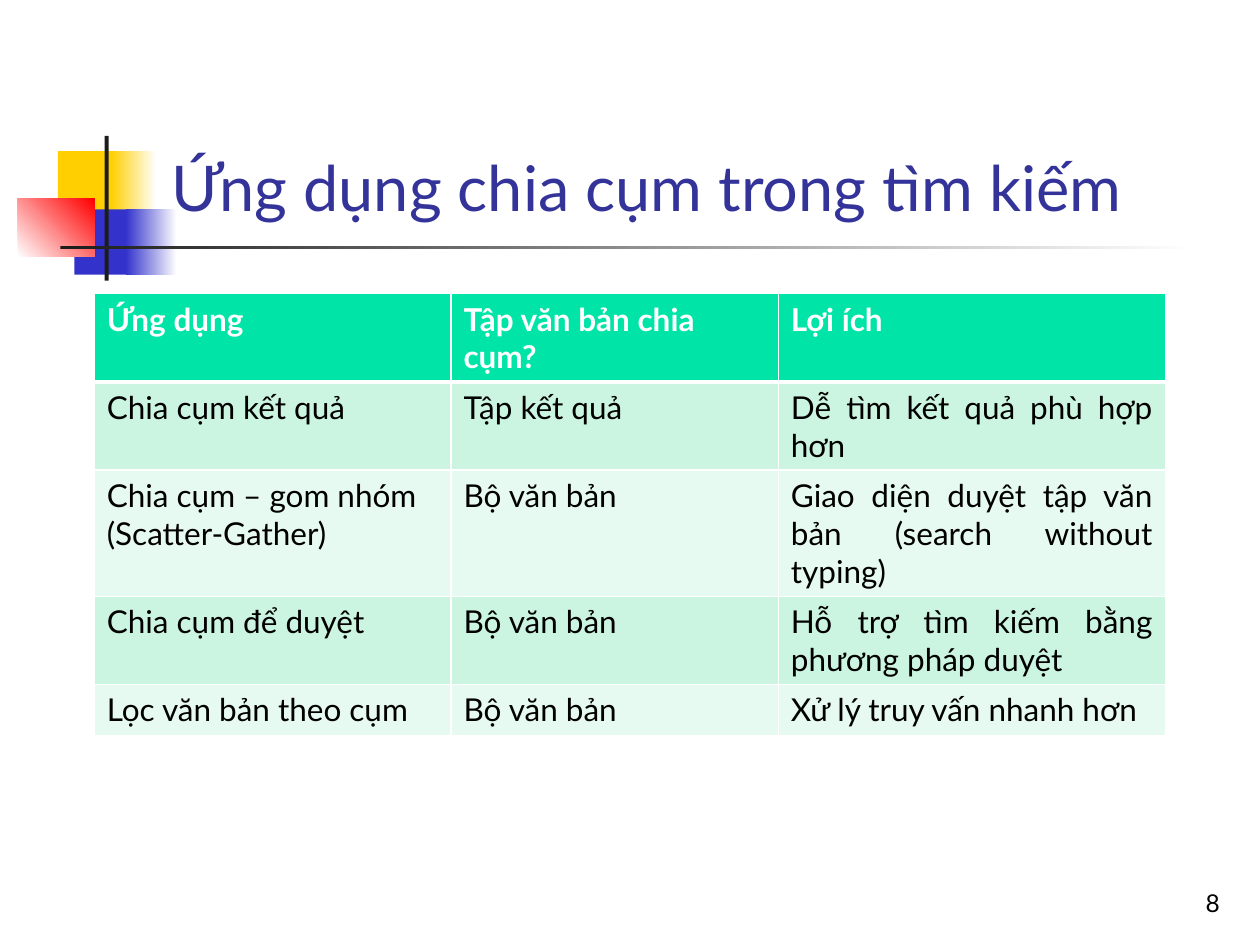
from dataclasses import dataclass
from lxml.etree import SubElement
from pptx import Presentation
from pptx.dml.color import RGBColor
from pptx.enum.shapes import MSO_SHAPE
from pptx.enum.text import MSO_ANCHOR, PP_ALIGN
from pptx.oxml.ns import qn
from pptx.slide import Slide
from pptx.table import _Cell
from pptx.text.text import TextFrame
from pptx.util import Cm, Pt

FONT = "Lato"
HUES = {
    "gold": "FFCF01", "blue": "3333CC", "red": "FF0000", "dark": "1C1C1C",
    "white": "FFFFFF", "black": "000000", "title": "333399",
    "head": "00E4A8", "odd": "CCF5E1", "even": "E7FAF1",
}


@dataclass
class Block:
    """A filled rectangle in cm, fading to a second colour if one is named."""
    left: float
    top: float
    width: float
    height: float
    hue: str
    fade: str = ""
    angle: int = 0


@dataclass
class Label:
    """A line of text in a box measured in cm."""
    left: float
    top: float
    width: float
    height: float
    text: str
    size: int
    hue: str
    align: PP_ALIGN = PP_ALIGN.LEFT


BLOCKS = [
    Block(1.17, 3.05, 1.22, 1.32, "gold"),
    Block(2.24, 3.05, 0.91, 1.32, "gold", "white"),
    Block(1.5, 4.22, 1.17, 1.32, "blue"),
    Block(2.54, 4.22, 1.02, 1.32, "blue", "white"),
    Block(0.36, 4.01, 1.55, 1.17, "white", "red", 45),
    Block(2.11, 2.74, 0.08, 2.92, "dark"),
    Block(1.22, 4.95, 22.86, 0.08, "dark", "white"),
]
LABELS = [
    Label(3.2, 0.58, 21.64, 4.06, "Ứng dụng chia cụm trong tìm kiếm", 36, "title"),
    Label(19.56, 17.35, 5.28, 1.27, "8", 14, "black", PP_ALIGN.RIGHT),
]
ROWS = [
    ("Ứng dụng", "Tập văn bản chia cụm?", "Lợi ích"),
    ("Chia cụm kết quả", "Tập kết quả", "Dễ tìm kết quả phù hợp hơn"),
    ("Chia cụm – gom nhóm (Scatter-Gather)", "Bộ văn bản",
     "Giao diện duyệt tập văn bản (search without typing)"),
    ("Chia cụm để duyệt", "Bộ văn bản", "Hỗ trợ tìm kiếm bằng phương pháp duyệt"),
    ("Lọc văn bản theo cụm", "Bộ văn bản", "Xử lý truy vấn nhanh hơn"),
]
WIDTHS = (7.19, 6.6, 7.8)
HEIGHTS = (1.75, 1.78, 2.54, 1.78, 1.04)


def tint(name: str) -> RGBColor:
    """Look up a colour by name."""
    return RGBColor.from_string(HUES[name])


def write(frame: TextFrame, text: str, size: int, hue: str,
          align: PP_ALIGN = PP_ALIGN.LEFT, bold: bool = False) -> None:
    """Fill a text frame with one styled paragraph."""
    frame.text = text
    para = frame.paragraphs[0]
    para.alignment = align
    font = para.runs[0].font
    font.name, font.size, font.bold = FONT, Pt(size), bold
    font.color.rgb = tint(hue)


def add_block(slide: Slide, block: Block) -> None:
    """Draw one plain or fading rectangle."""
    area = map(Cm, (block.left, block.top, block.width, block.height))
    shape = slide.shapes.add_shape(MSO_SHAPE.RECTANGLE, *area)
    shape.shadow.inherit = False
    shape.line.fill.background()
    if block.fade:
        shape.fill.gradient()
        shape.fill.gradient_angle = block.angle
        for stop, hue in zip(shape.fill.gradient_stops, (block.hue, block.fade)):
            stop.color.rgb = tint(hue)
    else:
        shape.fill.solid()
        shape.fill.fore_color.rgb = tint(block.hue)


def add_label(slide: Slide, label: Label) -> None:
    """Draw one text box that rests on its lower edge."""
    area = map(Cm, (label.left, label.top, label.width, label.height))
    frame = slide.shapes.add_textbox(*area).text_frame
    frame.word_wrap = True
    frame.vertical_anchor = MSO_ANCHOR.BOTTOM
    write(frame, label.text, label.size, label.hue, label.align)


def set_edge(cell: _Cell, top: int, base: int) -> None:
    """Give a cell white borders with the top and base widths in points."""
    props = cell._tc.get_or_add_tcPr()
    for spot, (side, width) in enumerate(zip("LRTB", (1, 1, top, base))):
        line = SubElement(props, qn(f"a:ln{side}"), w=str(Pt(width)))
        fill = SubElement(line, qn("a:solidFill"))
        SubElement(fill, qn("a:srgbClr"), val=HUES["white"])
        props.insert(spot, line)


def add_grid(slide: Slide) -> None:
    """Draw the table of uses."""
    area = map(Cm, (1.9, 5.92, sum(WIDTHS), sum(HEIGHTS)))
    table = slide.shapes.add_table(len(ROWS), len(WIDTHS), *area).table
    for col, width in zip(table.columns, WIDTHS):
        col.width = Cm(width)
    for row, height in zip(table.rows, HEIGHTS):
        row.height = Cm(height)
    for r, texts in enumerate(ROWS):
        head = r == 0
        shade = "head" if head else ("even", "odd")[r % 2]
        for c, text in enumerate(texts):
            cell = table.cell(r, c)
            cell.fill.solid()
            cell.fill.fore_color.rgb = tint(shade)
            set_edge(cell, 3 if r == 1 else 1, 3 if head else 1)
            full = c == 2 and 0 < r < len(ROWS) - 1
            align = PP_ALIGN.JUSTIFY if full else PP_ALIGN.LEFT
            write(cell.text_frame, text, 18, "white" if head else "black", align, head)


def main() -> None:
    """Build the slide and save it."""
    deck = Presentation()
    deck.slide_width, deck.slide_height = Cm(25.4), Cm(19.05)
    slide = deck.slides.add_slide(deck.slide_layouts[6])
    for block in BLOCKS:
        add_block(slide, block)
    for label in LABELS:
        add_label(slide, label)
    add_grid(slide)
    deck.save("out.pptx")


if __name__ == "__main__":
    main()
